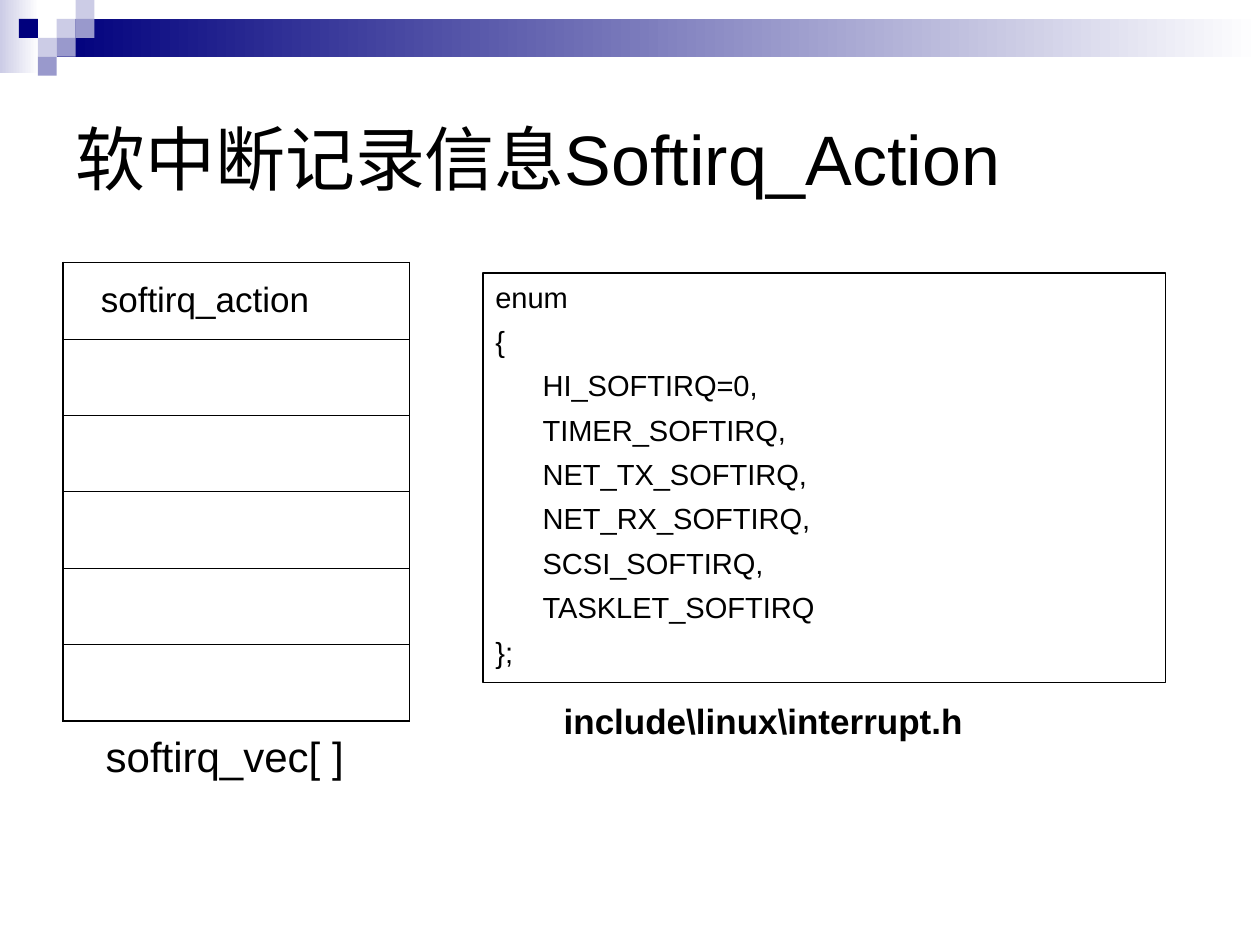
from lxml.etree import SubElement
from pptx import Presentation
from pptx.dml.color import RGBColor
from pptx.enum.shapes import MSO_SHAPE
from pptx.enum.text import MSO_ANCHOR
from pptx.oxml.ns import qn
from pptx.util import Pt

TITLE = "软中断记录信息Softirq_Action"
VECTOR_ENTRIES = ["softirq_action", "", "", "", "", ""]
VECTOR_NAME = "softirq_vec[ ]"
ENUM_LINES = [
    (0, "enum"),
    (0, "{"),
    (1, "HI_SOFTIRQ=0,"),
    (1, "TIMER_SOFTIRQ,"),
    (1, "NET_TX_SOFTIRQ,"),
    (1, "NET_RX_SOFTIRQ,"),
    (1, "SCSI_SOFTIRQ,"),
    (1, "TASKLET_SOFTIRQ"),
    (0, "};"),
]
HEADER_FILE = "include\\linux\\interrupt.h"

THEME = {
    "font": "Arial",
    "ink": "000000", "paper": "FFFFFF",
    "navy": "00007D", "mid": "9999CC", "pale": "CCCCE6",
    "title": 40, "label": 24, "entry": 20, "code": 16.6,
}
BANDS = [("pale", 0, 0, 22.3, 41.8), ("navy", 32.4, 10.8, 687.6, 21.6)]
SQUARE = 10.8
SQUARES = [
    ("pale", 3, 1), ("pale", 4, 0), ("mid", 4, 1), ("pale", 2, 2),
    ("navy", 1, 1), ("mid", 3, 2), ("mid", 2, 3),
]
INDENT = 27


def color(name):
    return RGBColor.from_string(THEME[name])


def write(frame, text, *, size, bold=False, indent=0, before=0, first=True):
    paragraph = frame.paragraphs[0] if first else frame.add_paragraph()
    paragraph.space_before = Pt(before)
    if indent:
        paragraph._p.get_or_add_pPr().set("marL", str(Pt(indent)))
    run = paragraph.add_run()
    run.text = text
    run.font.name = THEME["font"]
    run.font.size = Pt(THEME[size])
    run.font.bold = bold
    run.font.color.rgb = color("ink")


def add_label(slide, text, box, *, wrap=True, **style):
    frame = slide.shapes.add_textbox(*map(Pt, box)).text_frame
    frame.word_wrap = wrap
    frame.vertical_anchor = MSO_ANCHOR.MIDDLE
    write(frame, text, **style)


def add_rect(slide, *box):
    rect = slide.shapes.add_shape(MSO_SHAPE.RECTANGLE, *map(Pt, box))
    rect.shadow.inherit = False
    rect.line.fill.background()
    return rect


def add_header(slide):
    for shade, *box in BANDS:
        fill = add_rect(slide, *box).fill
        fill.gradient()
        fill.gradient_angle = 0
        for stop, name in zip(fill.gradient_stops, (shade, "paper")):
            stop.color.rgb = color(name)
    for shade, column, row in SQUARES:
        square = add_rect(slide, column * SQUARE, row * SQUARE, SQUARE, SQUARE)
        square.fill.solid()
        square.fill.fore_color.rgb = color(shade)


def add_borders(cell, widths):
    properties = cell._tc.get_or_add_tcPr()
    for side, width in widths.items():
        line = SubElement(properties, qn(f"a:ln{side}"), w=str(Pt(width)))
        fill = SubElement(line, qn("a:solidFill"))
        SubElement(fill, qn("a:srgbClr"), val=THEME["ink"])


def add_vector(slide):
    count = len(VECTOR_ENTRIES)
    box = map(Pt, (36, 150, 198, 262.2))
    table = slide.shapes.add_table(count, 1, *box).table
    table.first_row = table.horz_banding = False
    outer, inner = 1.08, 0.45
    for index, entry in enumerate(VECTOR_ENTRIES):
        cell = table.cell(index, 0)
        cell.vertical_anchor = MSO_ANCHOR.MIDDLE
        add_borders(cell, {
            "L": outer, "R": outer,
            "T": outer if index == 0 else inner,
            "B": outer if index == count - 1 else inner,
        })
        cell.fill.background()
        if entry:
            write(cell.text_frame, entry, size="entry", indent=14.4)


def add_enum(slide):
    panel = add_rect(slide, 276, 156, 390, 234)
    panel.fill.background()
    panel.line.color.rgb = color("ink")
    panel.line.width = Pt(0.75)
    frame = panel.text_frame
    frame.word_wrap = True
    frame.vertical_anchor = MSO_ANCHOR.TOP
    for index, (level, line) in enumerate(ENUM_LINES):
        write(frame, line, size="code", indent=level * INDENT,
              before=5.4 if index else 0, first=index == 0)
    for paragraph in frame.paragraphs:
        paragraph._p.get_or_add_pPr().set("algn", "l")


def main():
    deck = Presentation()
    deck.slide_width, deck.slide_height = Pt(720), Pt(540)
    slide = deck.slides.add_slide(deck.slide_layouts[6])
    add_header(slide)
    add_label(slide, TITLE, (36, 36, 648, 108), size="title")
    add_vector(slide)
    add_label(slide, VECTOR_NAME, (53.3, 414, 150.5, 36), size="label", wrap=False)
    add_enum(slide)
    add_label(slide, HEADER_FILE, (288, 396, 372, 31.7), size="entry",
              bold=True, indent=INDENT)
    deck.save("out.pptx")


if __name__ == "__main__":
    main()
